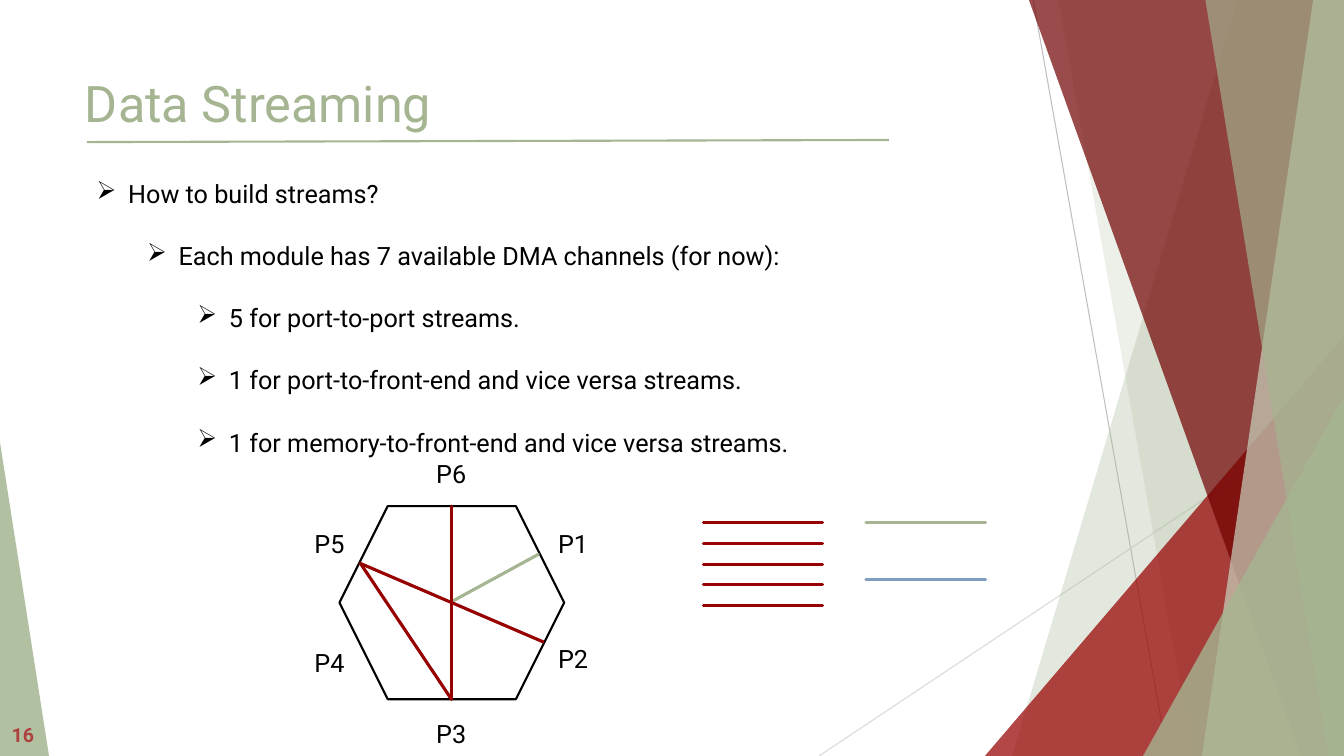
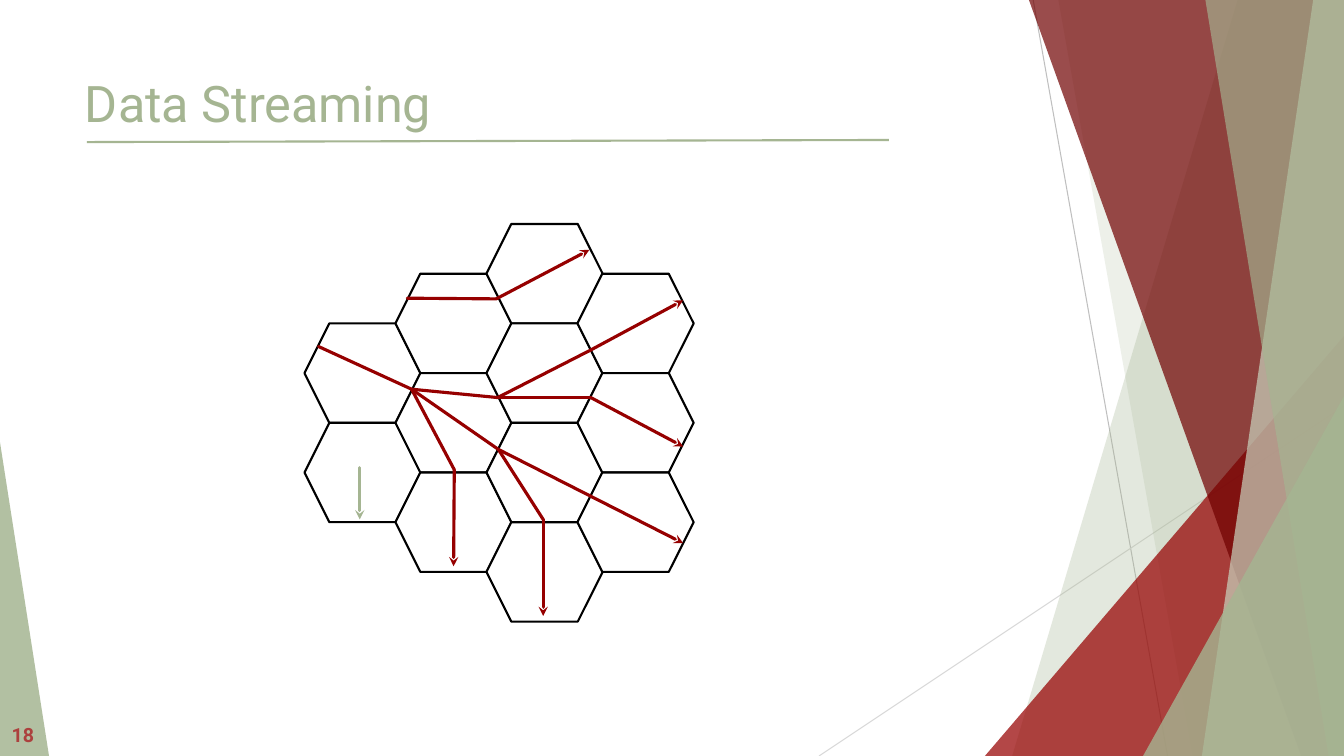
import pptx
import pptx.dml.color
import pptx.enum.shapes
import pptx.enum.text
import pptx.oxml.ns
import pptx.util
from lxml import etree

Pt = pptx.util.Pt
qn = pptx.oxml.ns.qn
SHAPES = pptx.enum.shapes.MSO_SHAPE
ALIGN = pptx.enum.text.PP_ALIGN
ANCHOR = pptx.enum.text.MSO_ANCHOR
AUTO_SIZE = pptx.enum.text.MSO_AUTO_SIZE

WIDTH, HEIGHT = 960, 540
SAGE, PALE_SAGE = "A5B592", "C9D3BE"
RED, DARK_RED, NUMBER_RED = "960000", "700000", "AC413E"
BLUE, BLACK, WHITE = "809EC2", "000000", "FFFFFF"


def rgb(color):
    return pptx.dml.color.RGBColor.from_string(color)


class Deck:
    """Holds the presentation, its style and the slide being filled."""

    font = "Roboto"
    body_size = 18
    stroke = 2.25

    def __init__(self):
        self.presentation = pptx.Presentation()
        self.presentation.slide_width = Pt(WIDTH)
        self.presentation.slide_height = Pt(HEIGHT)
        self.layout = self.presentation.slide_layouts.get_by_name("Title Only")
        self.slide = None

    def add_slide(self, title, number):
        first = self.slide is None
        self.slide = self.presentation.slides.add_slide(self.layout)
        if first:
            self.decorate_layout()
        self.title(title)
        self.line((62, 101.5), (635, 100), SAGE, 1.5)
        frame = self.text_box(0, 510.5, 31.5, 29)
        frame.vertical_anchor = ANCHOR.MIDDLE
        frame.paragraphs[0].alignment = ALIGN.RIGHT
        self.run(frame.paragraphs[0], number, 14, NUMBER_RED, bold=True)

    def decorate_layout(self):
        """Draw the background bands on the slide, then move them to the layout."""
        for placeholder in list(self.layout.placeholders)[1:]:
            self.layout.shapes.element.remove(placeholder.element)
        bands = [
            self.line((738, 0), (834, HEIGHT), "BFBFBF", 0.75),
            self.line((WIDTH, 290), (585, HEIGHT), "D9D9D9", 0.75),
            self.wing(884, 723, SAGE, 30),
            self.wing(756, 852, SAGE, 20),
            self.triangle(703.5, 240, 256.5, 1, RED, 72),
            self.wing(735, 929.5, DARK_RED, 70),
            self.wing(938, 858.5, PALE_SAGE, 70),
            self.wing(861, 949, SAGE, 65),
            self.triangle(816.5, 283, 143.5, 1, SAGE, 80),
            self.triangle(0, 316, 35, 0, SAGE, 85),
        ]
        for band in bands:
            self.layout.shapes.element.append(band.element)

    def paint(self, shape, color, opacity=100):
        shape.shadow.inherit = False
        shape.fill.solid()
        shape.fill.fore_color.rgb = rgb(color)
        shape.line.fill.background()
        if opacity < 100:
            fill_color = shape.element.spPr.find(f".//{qn('a:srgbClr')}")
            etree.SubElement(fill_color, qn("a:alpha"), val=str(opacity * 1000))
        return shape

    def wing(self, top_x, bottom_x, color, opacity):
        """Full-height band from a slanted left edge to the right slide edge."""
        builder = self.slide.shapes.build_freeform(Pt(top_x), Pt(0))
        corners = [(WIDTH, 0), (WIDTH, HEIGHT), (bottom_x, HEIGHT)]
        builder.add_line_segments([(Pt(x), Pt(y)) for x, y in corners], close=True)
        return self.paint(builder.convert_to_shape(), color, opacity)

    def triangle(self, left, top, width, apex, color, opacity):
        """Triangle standing on the bottom slide edge; apex is 0 left to 1 right."""
        shape = self.slide.shapes.add_shape(
            SHAPES.ISOSCELES_TRIANGLE, Pt(left), Pt(top), Pt(width), Pt(HEIGHT - top))
        shape.adjustments[0] = apex
        return self.paint(shape, color, opacity)

    def hexagon(self, left, top, width, height):
        shape = self.slide.shapes.add_shape(
            SHAPES.HEXAGON, Pt(left), Pt(top), Pt(width), Pt(height))
        self.paint(shape, WHITE)
        shape.line.color.rgb = rgb(BLACK)
        shape.line.width = Pt(1.5)

    def line(self, start, end, color, width=stroke, arrow=False):
        connector = self.slide.shapes.add_connector(
            pptx.enum.shapes.MSO_CONNECTOR.STRAIGHT,
            *[Pt(value) for value in (*start, *end)])
        connector.line.color.rgb = rgb(color)
        connector.line.width = Pt(width)
        outline = connector.get_or_add_ln()
        if width == self.stroke:
            outline.set("cap", "rnd")
        if arrow:
            etree.SubElement(outline, qn("a:tailEnd"), type="stealth")
        etree.SubElement(connector.element.spPr, qn("a:effectLst"))
        return connector

    def route(self, points, color):
        """Chain of lines through the points, with an arrowhead on the last."""
        for start, end in zip(points, points[1:]):
            self.line(start, end, color, arrow=end == points[-1])

    def run(self, paragraph, text, size, color, bold=False):
        run = paragraph.add_run()
        run.text = text
        run.font.name = self.font
        run.font.size = Pt(size)
        run.font.bold = bold
        run.font.color.rgb = rgb(color)

    def title(self, text):
        title = self.slide.shapes.title
        title.left, title.top = Pt(53.5), Pt(48)
        title.width, title.height = Pt(677), Pt(65)
        frame = title.text_frame
        frame.auto_size = AUTO_SIZE.NONE
        frame.vertical_anchor = ANCHOR.TOP
        paragraph = frame.paragraphs[0]
        paragraph.alignment = ALIGN.LEFT
        paragraph.space_after = Pt(6)
        self.run(paragraph, text, 36, SAGE)

    def text_box(self, left, top, width, height, wrap=True):
        box = self.slide.shapes.add_textbox(Pt(left), Pt(top), Pt(width), Pt(height))
        box.text_frame.word_wrap = wrap
        return box.text_frame

    def label(self, left, top, text):
        frame = self.text_box(left, top, 37, 29, wrap=False)
        self.run(frame.paragraphs[0], text, self.body_size, BLACK)

    def bullets(self, left, top, width, height, items):
        """Bulleted list of (level, text) items."""
        frame = self.text_box(left, top, width, height)
        for index, (level, text) in enumerate(items):
            paragraph = frame.add_paragraph() if index else frame.paragraphs[0]
            paragraph.level = level
            paragraph.line_spacing = 1.5
            paragraph.space_after = Pt(12)
            properties = paragraph._p.get_or_add_pPr()
            properties.set("marL", str(Pt(22.5 + 36 * level)))
            properties.set("indent", str(Pt(-22.5)))
            etree.SubElement(properties, qn("a:buChar"), char="➢")
            self.run(paragraph, text, self.body_size, BLACK)


def add_channels_slide(deck):
    deck.add_slide("Data Streaming", "16")
    deck.bullets(62, 113, 759, 220, [
        (0, "How to build streams?"),
        (1, "Each module has 7 available DMA channels (for now):"),
        (2, "5 for port-to-port streams."),
        (2, "1 for port-to-front-end and vice versa streams."),
        (2, "1 for memory-to-front-end and vice versa streams."),
    ])
    deck.hexagon(242.5, 361.5, 160.5, 138)
    ports = [(391.5, 373.5), (391.5, 456), (304.5, 509.5),
             (217.5, 458.5), (217.5, 373.5), (304.5, 324)]
    for number, (left, top) in enumerate(ports, start=1):
        deck.label(left, top, f"P{number}")

    for index in range(5):
        y = 373.5 + 14.75 * index
        deck.line((502.5, y), (587.5, y), RED)
    for y, color in [(373.5, SAGE), (414, BLUE)]:
        deck.line((618.5, y), (704, y), color)

    port_2, port_3, port_5, port_6 = (388, 458.5), (322.5, 499.5), (257.5, 402.5), (322.5, 361.5)
    deck.line((324, 429), (384.5, 396), SAGE)
    for start, end in [(port_2, port_5), (port_6, port_3), (port_3, port_5)]:
        deck.line(start, end, RED)


def add_array_slide(deck):
    deck.add_slide("Data Streaming", "18")
    rows_by_column = [(2, 4), (1, 3, 5), (0, 2, 4, 6), (1, 3, 5)]
    for column, rows in enumerate(rows_by_column):
        for row in rows:
            deck.hexagon(217.5 + 65 * column, 160 + 35.5 * row, 83, 71)

    first_fork, upper_fork, lower_fork = (294, 278), (355.5, 284), (356, 321)
    routes = [
        [(291, 213), (354.5, 213.5), (421, 178.5)],
        [(227.5, 247.5), first_fork, (324.5, 335.5), (324, 404.5)],
        [first_fork, upper_fork, (422, 250), (488, 214.5)],
        [upper_fork, (422, 284), (488, 319)],
        [first_fork, lower_fork, (422, 354.5), (488, 388)],
        [lower_fork, (388, 371), (388, 440)],
    ]
    for points in routes:
        deck.route(points, RED)
    deck.route([(257, 334), (257, 371)], SAGE)


def main():
    deck = Deck()
    add_channels_slide(deck)
    add_array_slide(deck)
    deck.presentation.save("out.pptx")


if __name__ == "__main__":
    main()
